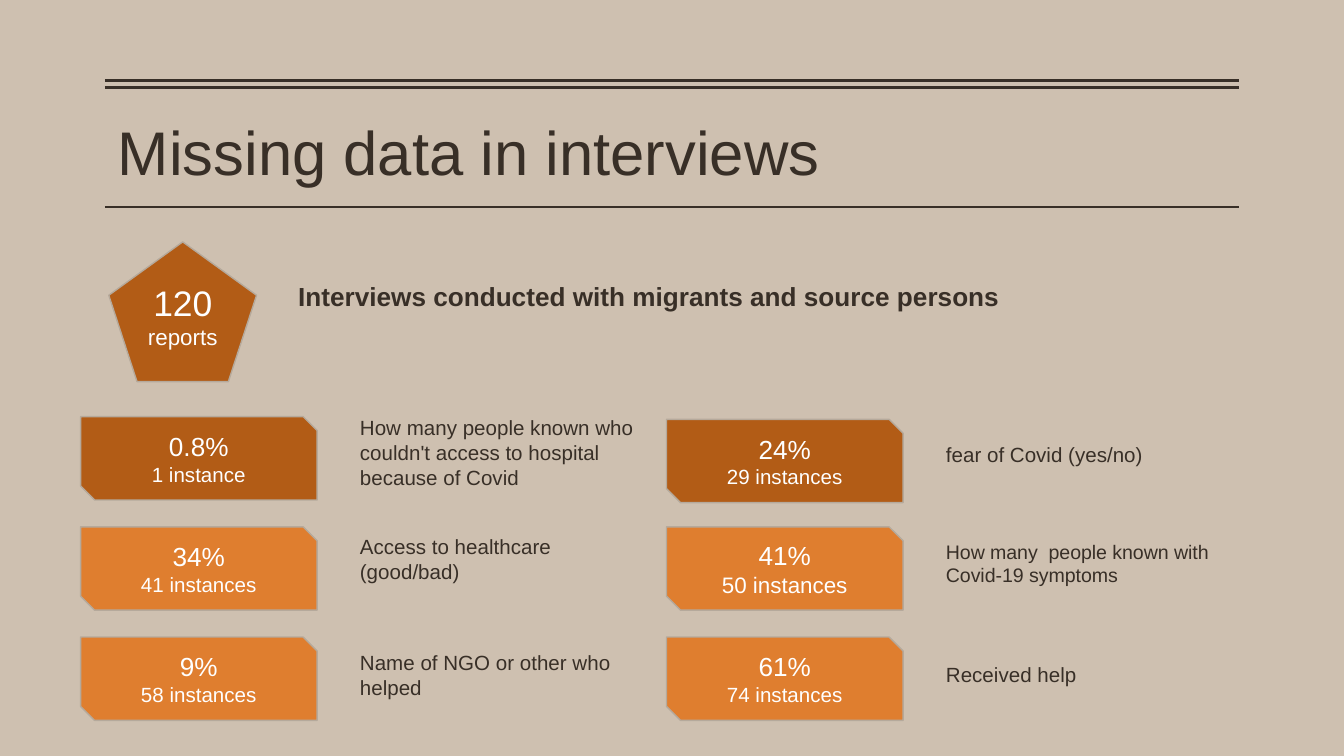
from dataclasses import dataclass
from pptx import Presentation
from pptx.dml.color import RGBColor
from pptx.enum.shapes import MSO_CONNECTOR, MSO_SHAPE
from pptx.enum.text import MSO_ANCHOR, PP_ALIGN
from pptx.oxml.ns import qn
from pptx.util import Inches, Pt

STRAIGHT = MSO_CONNECTOR.STRAIGHT
SNIP, PENTAGON = MSO_SHAPE.SNIP_2_DIAG_RECTANGLE, MSO_SHAPE.REGULAR_PENTAGON
TOP, MIDDLE = MSO_ANCHOR.TOP, MSO_ANCHOR.MIDDLE
LEFT, CENTER = PP_ALIGN.LEFT, PP_ALIGN.CENTER


@dataclass(frozen=True)
class Theme:
    font: str = "Arial"
    paper: RGBColor = RGBColor.from_string("CEC0B0")
    ink: RGBColor = RGBColor.from_string("382F27")
    white: RGBColor = RGBColor.from_string("FFFFFF")
    dark: RGBColor = RGBColor.from_string("B25C16")
    light: RGBColor = RGBColor.from_string("DF7E2F")
    edge: RGBColor = RGBColor.from_string("B5A99B")
    title: float = 33
    count: float = 19
    heading: float = 14
    unit: float = 12
    body: float = 11
    small: float = 10.5


T = Theme()


def add_shape(kind, box, fill):
    sp = s.shapes.add_shape(kind, *map(Inches, box))
    sp.shadow.inherit = False
    sp.fill.solid()
    sp.fill.fore_color.rgb = fill
    sp.line.color.rgb = T.edge
    sp.line.width = Pt(0.75)
    return sp


def write(sp, lines, color, align=LEFT, anchor=TOP, top=0.1, bold=False):
    tf = sp.text_frame
    frame = {"word_wrap": True, "vertical_anchor": anchor, "margin_top": Inches(top),
             "margin_left": Inches(0.1), "margin_right": Inches(0.1), "margin_bottom": Inches(0.1)}
    for name, value in frame.items():
        setattr(tf, name, value)
    for i, (text, size) in enumerate(lines):
        p = tf.add_paragraph() if i else tf.paragraphs[0]
        p.alignment = align
        r = p.add_run()
        r.text = text
        for name, value in {"name": T.font, "size": Pt(size), "bold": bold}.items():
            setattr(r.font, name, value)
        r.font.color.rgb = color


prs = Presentation()
prs.slide_width = Inches(10)
prs.slide_height = prs.slide_width * 9 // 16
s = prs.slides.add_slide(prs.slide_layouts[6])
s.background.fill.solid()
s.background.fill.fore_color.rgb = T.paper

for y in (0.6, 0.65, 1.54):
    rule = s.shapes.add_connector(STRAIGHT, Inches(0.78), Inches(y), Inches(9.22), Inches(y))
    rule.line.color.rgb = T.ink
    rule.line.width = Pt(1.5)
    rule._element.spPr.append(rule._element.makeelement(qn("a:effectLst"), {}))

title = s.shapes.add_textbox(Inches(0.78), Inches(0.85), Inches(8.44), Inches(0.52))
write(title, [("Missing data in interviews", T.title)], T.ink, top=0)

add_shape(PENTAGON, (0.81, 1.8, 1.1, 1.04), T.dark)
total = s.shapes.add_textbox(Inches(0.6), Inches(1.99), Inches(1.52), Inches(0.83))
write(total, [("120", T.count), ("reports", T.unit)], T.white, CENTER)
heading = s.shapes.add_textbox(Inches(2.12), Inches(1.99), Inches(7.1), Inches(0.66))
write(heading, [("Interviews conducted with migrants and source persons", T.heading)], T.ink, bold=True)

badges = [
    (0.6, 3.1, T.dark, "0.8%", "1 instance", T.body),
    (0.6, 3.92, T.light, "34%", "41 instances", T.body),
    (0.6, 4.74, T.light, "9%", "58 instances", T.body),
    (4.96, 3.12, T.dark, "24%", "29 instances", T.body),
    (4.96, 3.92, T.light, "41%", "50 instances", T.unit),
    (4.96, 4.74, T.light, "61%", "74 instances", T.body),
]
for x, y, fill, share, instances, size in badges:
    sp = add_shape(SNIP, (x, y, 1.76, 0.62), fill)
    sp.adjustments[0], sp.adjustments[1] = 0, 0.167
    write(sp, [(share, T.heading), (instances, size)], T.white, CENTER, MIDDLE)

labels = [
    ((2.58, 3.09, 2.37, 0.62), "How many people known who couldn't access to hospital because of Covid", T.body, TOP),
    ((2.58, 3.9, 2.37, 0.62), "Access to healthcare (good/bad)", T.body, MIDDLE),
    ((2.58, 4.76, 2.37, 0.62), "Name of NGO or other who helped", T.body, MIDDLE),
    ((6.94, 3.17, 2.09, 0.52), "fear of Covid (yes/no)", T.body, MIDDLE),
    ((6.94, 3.93, 2.46, 0.62), "How many  people known with Covid-19 symptoms", T.small, MIDDLE),
    ((6.94, 4.81, 2.46, 0.52), "Received help", T.body, MIDDLE),
]
for box, text, size, anchor in labels:
    sp = s.shapes.add_textbox(*map(Inches, box))
    write(sp, [(text, size)], T.ink, anchor=anchor, top=0)

prs.save("out.pptx")
